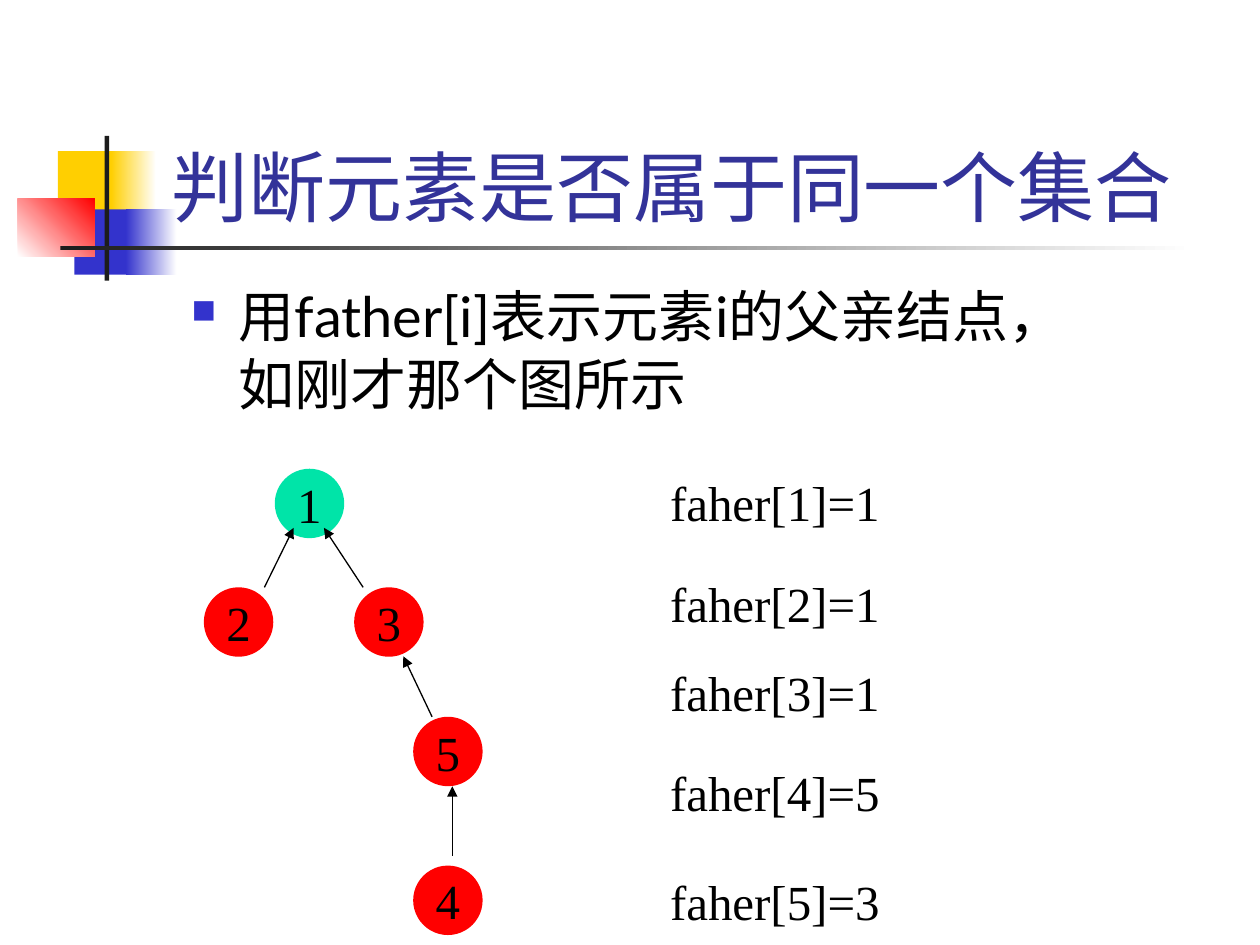
import dataclasses
import typing

import lxml.etree
import pptx
import pptx.dml.color
import pptx.enum.shapes
import pptx.enum.text
import pptx.oxml.ns
import pptx.util

Cm = pptx.util.Cm
Pt = pptx.util.Pt
RGBColor = pptx.dml.color.RGBColor
Shape = pptx.enum.shapes.MSO_SHAPE
Align = pptx.enum.text.PP_ALIGN
Anchor = pptx.enum.text.MSO_ANCHOR
qn = pptx.oxml.ns.qn

WHITE = RGBColor(0xFF, 0xFF, 0xFF)
BLACK = RGBColor(0x00, 0x00, 0x00)
YELLOW = RGBColor(0xFF, 0xCF, 0x01)
BLUE = RGBColor(0x33, 0x33, 0xCC)
RED = RGBColor(0xFF, 0x00, 0x00)
DARK = RGBColor(0x1C, 0x1C, 0x1C)
NAVY = RGBColor(0x33, 0x33, 0x99)
GREEN = RGBColor(0x00, 0xE4, 0xA8)

SANS = "Lato"
SERIF = "Times New Roman"
SIZE = 1.4  # node diameter in cm


@dataclasses.dataclass
class Block:
    """Decor rectangle in cm; with an end colour it is a gradient."""
    left: float
    top: float
    width: float
    height: float
    start: RGBColor
    end: typing.Optional[RGBColor] = None
    angle: int = 0


@dataclasses.dataclass
class Node:
    name: str
    left: float
    top: float
    color: RGBColor = RED


@dataclasses.dataclass
class Arrow:
    x1: float
    y1: float
    x2: float
    y2: float


@dataclasses.dataclass
class Label:
    child: int
    father: int
    top: float


BLOCKS = [
    Block(1.17, 3.05, 1.22, 1.32, YELLOW),
    Block(2.24, 3.05, 0.91, 1.32, YELLOW, WHITE),
    Block(1.5, 4.22, 1.17, 1.32, BLUE),
    Block(2.54, 4.22, 1.02, 1.32, BLUE, WHITE),
    Block(0.36, 4.01, 1.55, 1.17, WHITE, RED, 45),
    Block(2.11, 2.74, 0.09, 2.92, DARK),
    Block(1.22, 4.95, 22.86, 0.09, DARK, WHITE),
]
NODES = [
    Node("1", 5.54, 9.45, GREEN),
    Node("2", 4.11, 11.84),
    Node("3", 7.14, 11.84),
    Node("5", 8.33, 14.45),
    Node("4", 8.33, 17.45),
]
ARROWS = [
    Arrow(5.33, 11.84, 5.92, 10.64),
    Arrow(7.32, 11.84, 6.53, 10.64),
    Arrow(8.71, 14.45, 8.13, 13.23),
    Arrow(9.12, 17.25, 9.12, 15.85),
]
LABELS = [
    Label(1, 1, 9.4),
    Label(2, 1, 11.43),
    Label(3, 1, 13.23),
    Label(4, 5, 15.24),
    Label(5, 3, 17.45),
]


def add_run(para, text: str, size: int, font: str, color: RGBColor) -> None:
    run = para.add_run()
    run.text = text
    run.font.size = Pt(size)
    run.font.name = font
    run.font.color.rgb = color


def add_box(slide, left: float, top: float, width: float, height: float):
    """Add a wrapping text box and return its text frame."""
    box = slide.shapes.add_textbox(Cm(left), Cm(top), Cm(width), Cm(height))
    box.text_frame.word_wrap = True
    return box.text_frame


def draw_block(slide, block: Block) -> None:
    shape = slide.shapes.add_shape(
        Shape.RECTANGLE, Cm(block.left), Cm(block.top),
        Cm(block.width), Cm(block.height))
    shape.shadow.inherit = False
    shape.line.fill.background()
    if block.end is None:
        shape.fill.solid()
        shape.fill.fore_color.rgb = block.start
        return
    shape.fill.gradient()
    shape.fill.gradient_angle = block.angle
    for stop, color in zip(shape.fill.gradient_stops, (block.start, block.end)):
        stop.color.rgb = color


def draw_node(slide, node: Node) -> None:
    shape = slide.shapes.add_shape(
        Shape.OVAL, Cm(node.left), Cm(node.top), Cm(SIZE), Cm(SIZE))
    shape.shadow.inherit = False
    shape.line.fill.background()
    shape.fill.solid()
    shape.fill.fore_color.rgb = node.color
    frame = shape.text_frame
    frame.word_wrap = False
    frame.vertical_anchor = Anchor.MIDDLE
    para = frame.paragraphs[0]
    para.alignment = Align.CENTER
    add_run(para, node.name, 28, SERIF, BLACK)


def draw_arrow(slide, arrow: Arrow) -> None:
    line = slide.shapes.add_connector(
        pptx.enum.shapes.MSO_CONNECTOR.STRAIGHT,
        Cm(arrow.x1), Cm(arrow.y1), Cm(arrow.x2), Cm(arrow.y2))
    line.line.color.rgb = BLACK
    line.line.width = Pt(0.75)
    props = line._element.spPr
    lxml.etree.SubElement(props.find(qn("a:ln")), qn("a:tailEnd"), type="triangle")
    lxml.etree.SubElement(props, qn("a:effectLst"))


def draw_label(slide, label: Label) -> None:
    para = add_box(slide, 12.32, label.top, 6.6, 1.45).paragraphs[0]
    para.alignment = Align.CENTER
    add_run(para, f"faher[{label.child}]={label.father}", 28, SERIF, BLACK)


def add_bullet(para) -> None:
    """Give the paragraph a small blue square and a hanging indent."""
    props = para._p.get_or_add_pPr()
    props.set("marL", str(Cm(0.95)))
    props.set("indent", str(-Cm(0.95)))
    color = lxml.etree.SubElement(props, qn("a:buClr"))
    lxml.etree.SubElement(color, qn("a:srgbClr"), val=str(BLUE))
    lxml.etree.SubElement(props, qn("a:buSzPct"), val="60000")
    lxml.etree.SubElement(props, qn("a:buChar"), char="■")


def main() -> None:
    deck = pptx.Presentation()
    deck.slide_width, deck.slide_height = Cm(25.4), Cm(19.05)
    slide = deck.slides.add_slide(deck.slide_layouts[6])

    for block in BLOCKS:
        draw_block(slide, block)

    title = add_box(slide, 3.2, 0.58, 21.95, 4.22)
    title.vertical_anchor = Anchor.BOTTOM
    add_run(title.paragraphs[0], "判断元素是否属于同一个集合", 44, SANS, NAVY)

    para = add_box(slide, 3.61, 5.56, 17.78, 12.5).paragraphs[0]
    para.space_before = Pt(8)
    add_bullet(para)
    add_run(para, "用father[i]表示元素i的父亲结点，如刚才那个图所示", 32, SANS, BLACK)

    for node in NODES:
        draw_node(slide, node)
    for arrow in ARROWS:
        draw_arrow(slide, arrow)
    for label in LABELS:
        draw_label(slide, label)

    deck.save("out.pptx")


if __name__ == "__main__":
    main()
